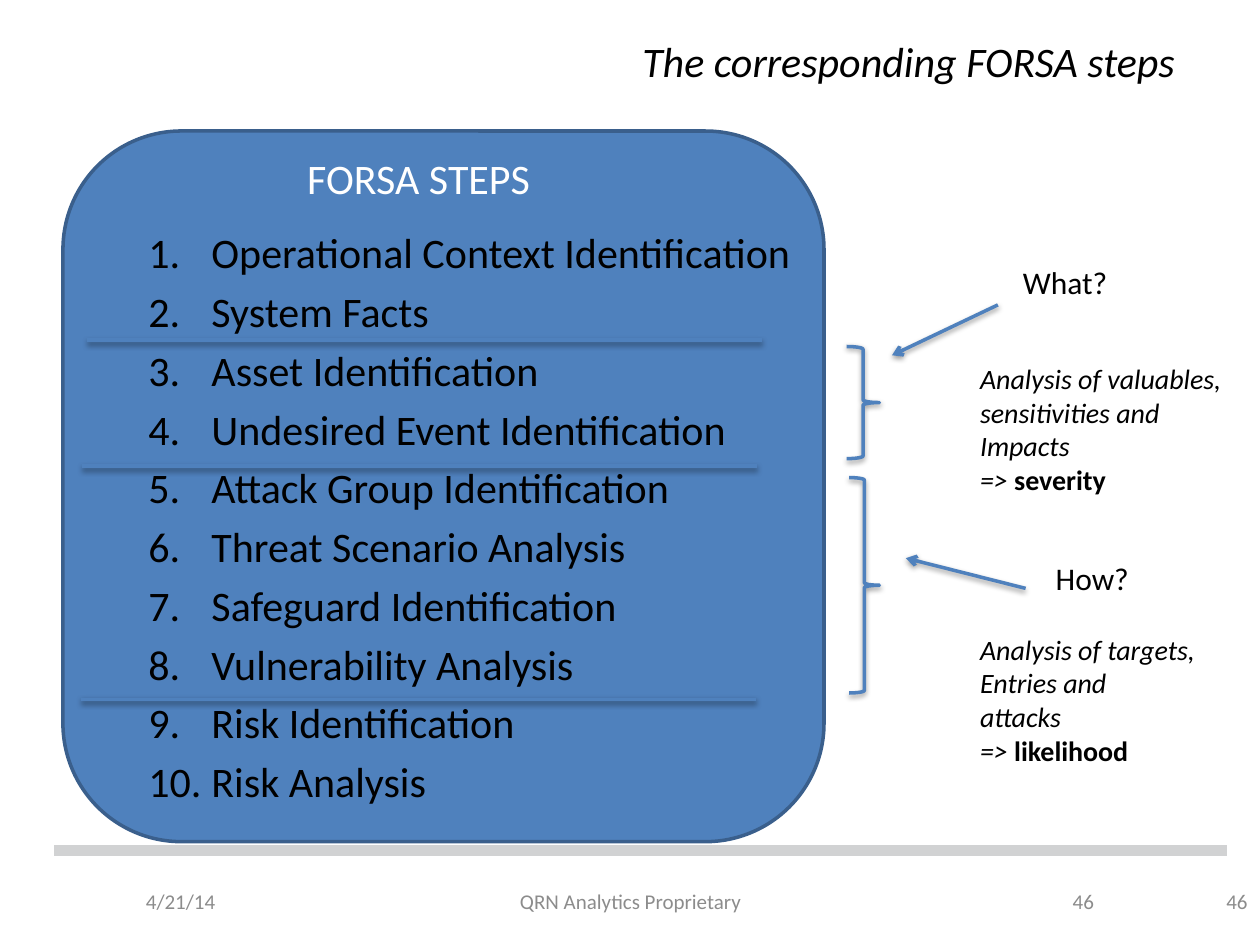
"""Builds the slide that maps the FORSA steps to two questions."""
from lxml import etree
from pptx import Presentation
from pptx.dml.color import RGBColor
from pptx.enum import shapes, text
from pptx.oxml import ns, parse_xml
from pptx.util import Inches, Pt

BLUE = RGBColor(0x4F, 0x81, 0xBD)
NAVY = RGBColor(0x3A, 0x5F, 0x8C)
BLACK = RGBColor(0, 0, 0)
WHITE = RGBColor(255, 255, 255)
GREY = RGBColor(0x8C, 0x8C, 0x8C)
SILVER = RGBColor(0xD1, 0xD2, 0xD3)
LEFT, MID, RIGHT = text.PP_ALIGN.LEFT, text.PP_ALIGN.CENTER, text.PP_ALIGN.RIGHT

SHADE = (
    f'<a:effectLst {ns.nsdecls("a")}>'
    '<a:outerShdw blurRad="40000" dist="20000" dir="5400000" rotWithShape="0">'
    '<a:srgbClr val="000000"><a:alpha val="38000"/></a:srgbClr>'
    '</a:outerShdw></a:effectLst>'
)
STEPS = [
    "Operational Context Identification", "System Facts",
    "Asset Identification", "Undesired Event Identification",
    "Attack Group Identification", "Threat Scenario Analysis",
    "Safeguard Identification", "Vulnerability Analysis",
    "Risk Identification", "Risk Analysis",
]
FOOT = [
    (1.06, 1.77, "4/21/14", LEFT),
    (7.17, 1.61, "46", RIGHT),
    (3.42, 3.17, "QRN Analytics Proprietary", MID),
    (8.39, 1.61, "46", RIGHT),
]
ASKS = [
    (8.02, 2.04, 0.88, "What?"),
    (8.28, 4.39, 0.79, "How?"),
]
NOTES = [
    (2.82, 2.19, ["Analysis of valuables,", "sensitivities and", "Impacts"], "severity"),
    (4.97, 1.98, ["Analysis of targets,", "Entries and", "attacks"], "likelihood"),
]
ARROWS = [(7.92, 2.42, 7.08, 2.82), (8.14, 4.67, 7.19, 4.43)]
BRACES = [(6.72, 2.75, 0.26, 0.89), (6.74, 3.79, 0.24, 1.71)]
RULES = [(0.69, 2.7), (0.65, 3.7), (0.64, 5.55)]


class Deck:
    """Holds the style and the current slide."""

    def __init__(self):
        self.prs = Presentation()
        self.prs.slide_width, self.prs.slide_height = Inches(10), Inches(7.5)
        self.slide = self.prs.slides.add_slide(self.prs.slide_layouts[5])
        self.face = "Calibri"

    def style(self, para, size, color=BLACK, align=LEFT, italic=False):
        para.alignment = align
        font = para.font
        font.name, font.size, font.italic = self.face, Pt(size), italic
        font.color.rgb = color

    def title(self, box, words):
        head = self.slide.shapes.title
        head.left, head.top, head.width, head.height = map(Inches, box)
        head.text_frame.text = words
        head.text_frame.vertical_anchor = text.MSO_ANCHOR.MIDDLE
        self.style(head.text_frame.paragraphs[0], 24, align=RIGHT, italic=True)

    def label(self, box, lines, size, color=BLACK, align=LEFT, italic=False,
              wrap=False, anchor=text.MSO_ANCHOR.TOP):
        frame = self.slide.shapes.add_textbox(*map(Inches, box)).text_frame
        frame.word_wrap, frame.vertical_anchor = wrap, anchor
        frame.text = "\n".join(lines)
        for para in frame.paragraphs:
            self.style(para, size, color, align, italic)
        return frame

    def note(self, top, width, lines, key):
        frame = self.label((7.68, top, width, 1.2), lines + ["=> "], 16, italic=True)
        run = frame.paragraphs[-1].add_run()
        run.text = key
        run.font.bold, run.font.italic = True, False

    def steps(self, box, items):
        frame = self.slide.shapes.add_textbox(*map(Inches, box)).text_frame
        frame.word_wrap = True
        frame.text = "\n".join(items)
        for i, para in enumerate(frame.paragraphs):
            props = para._p.get_or_add_pPr()
            props.set("marL", str(Inches(0.5)))
            props.set("indent", str(-Inches(0.5)))
            etree.SubElement(props, ns.qn("a:buFont"), typeface="+mj-lt")
            etree.SubElement(props, ns.qn("a:buAutoNum"), type="arabicPeriod")
            if i:
                para.space_before = Pt(4.8)
            self.style(para, 24)

    def shape(self, kind, box, edge, fill=None):
        item = self.slide.shapes.add_shape(kind, *map(Inches, box))
        item.shadow.inherit = False
        if fill is None:
            item.fill.background()
        else:
            item.fill.solid()
            item.fill.fore_color.rgb = fill
        item.line.color.rgb, item.line.width = edge, Pt(2)
        return item

    def brace(self, box):
        item = self.shape(shapes.MSO_SHAPE.RIGHT_BRACE, box, BLUE)
        props = item._element.spPr
        props.replace(props.find(ns.qn("a:effectLst")), parse_xml(SHADE))

    def line(self, ends, color=BLUE, width=2, shade=True, arrow=False):
        item = self.slide.shapes.add_connector(
            shapes.MSO_CONNECTOR.STRAIGHT, *map(Inches, ends))
        item.line.color.rgb, item.line.width = color, Pt(width)
        if arrow:
            etree.SubElement(item.line._get_or_add_ln(), ns.qn("a:tailEnd"), type="arrow")
        props = item._element.spPr
        if shade:
            props.append(parse_xml(SHADE))
        else:
            etree.SubElement(props, ns.qn("a:effectLst"))


def main():
    deck = Deck()
    for left, width, words, align in FOOT:
        deck.label((left, 6.95, width, 0.4), [words], 12, GREY, align,
                   wrap=True, anchor=text.MSO_ANCHOR.MIDDLE)
    deck.line((0.43, 6.75, 9.74, 6.75), SILVER, 6, shade=False)
    deck.title((0.5, 0.21, 9, 0.55), "The corresponding FORSA steps ")
    for ends in ARROWS:
        deck.line(ends, arrow=True)
    for left, top, width, words in ASKS:
        deck.label((left, top, width, 0.4), [words], 18)
    for box in BRACES:
        deck.brace(box)
    for row in NOTES:
        deck.note(*row)
    deck.shape(shapes.MSO_SHAPE.ROUNDED_RECTANGLE, (0.5, 1.04, 6.04, 5.64), NAVY, BLUE)
    deck.label((2.34, 1.16, 2.36, 0.5), ["FORSA STEPS"], 24, WHITE, wrap=True)
    deck.steps((1.08, 1.75, 5.49, 4.88), STEPS)
    for left, top in RULES:
        deck.line((left, top, left + 5.36, top))
    deck.prs.save("out.pptx")


if __name__ == "__main__":
    main()
